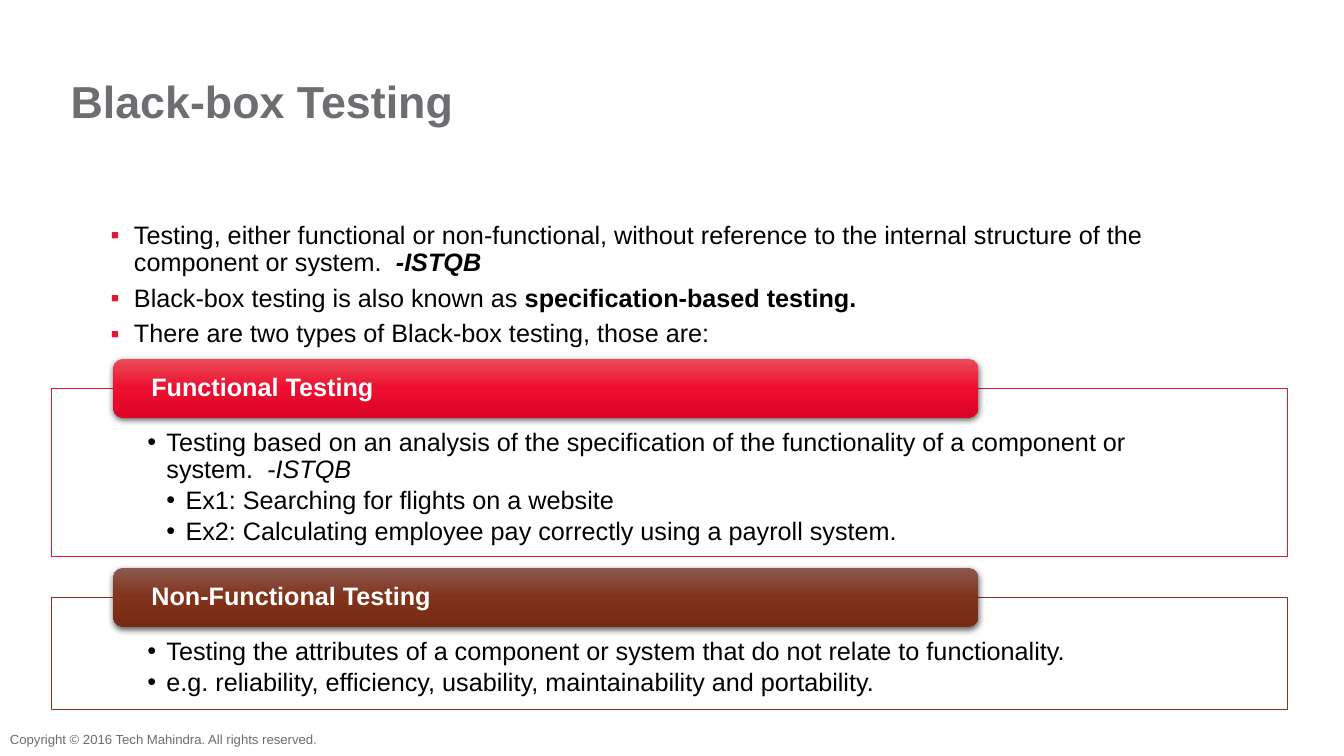
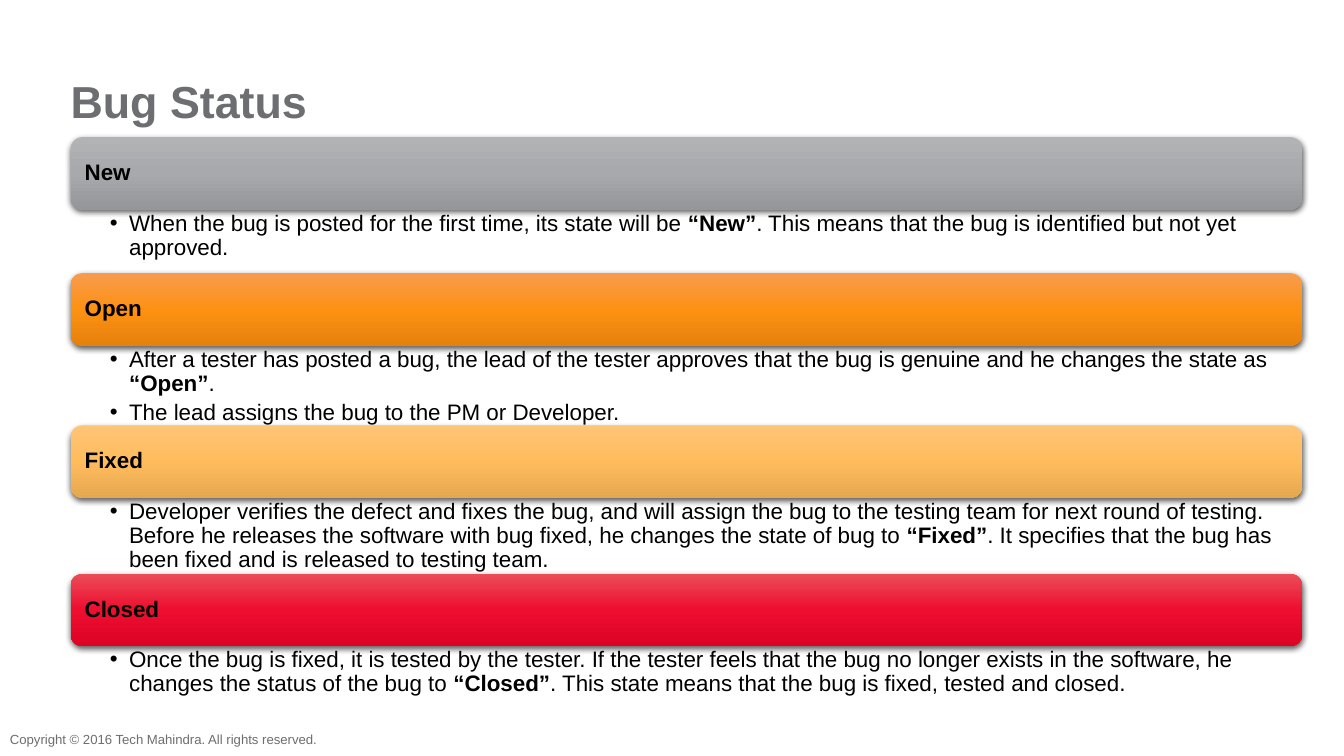
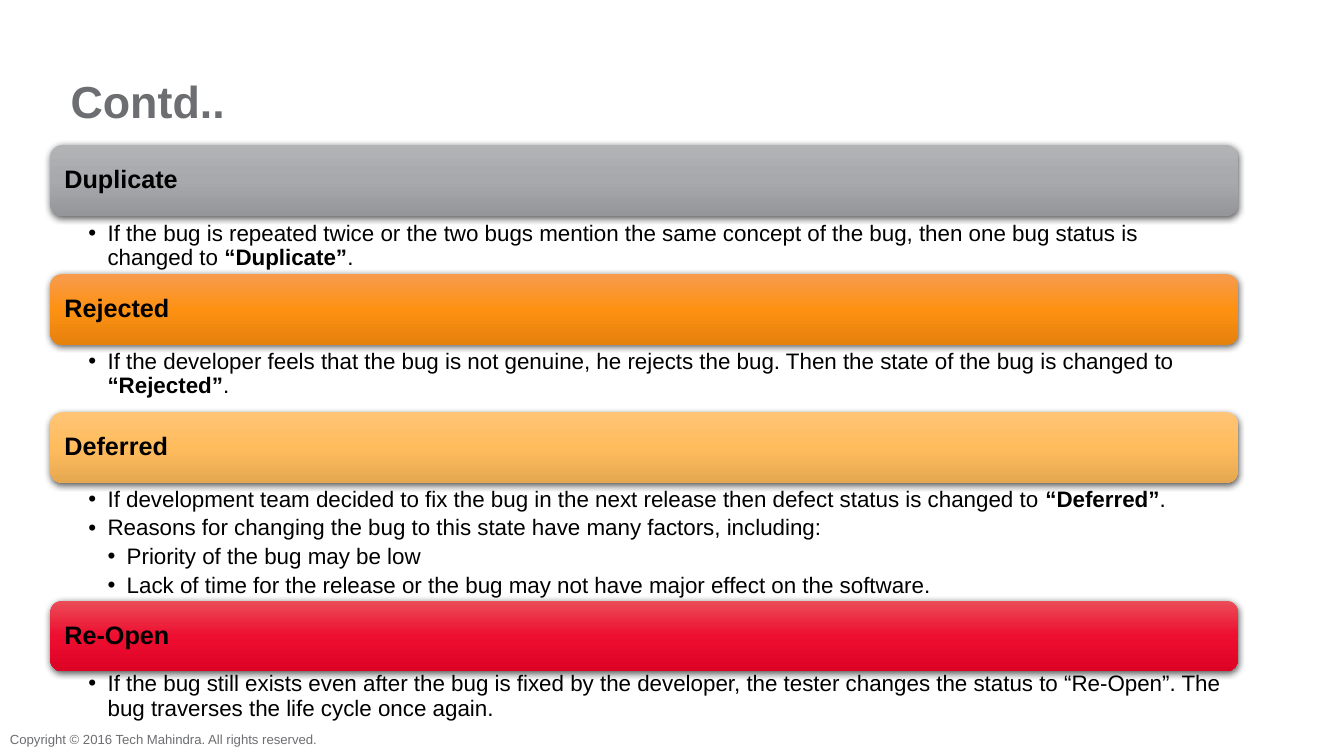
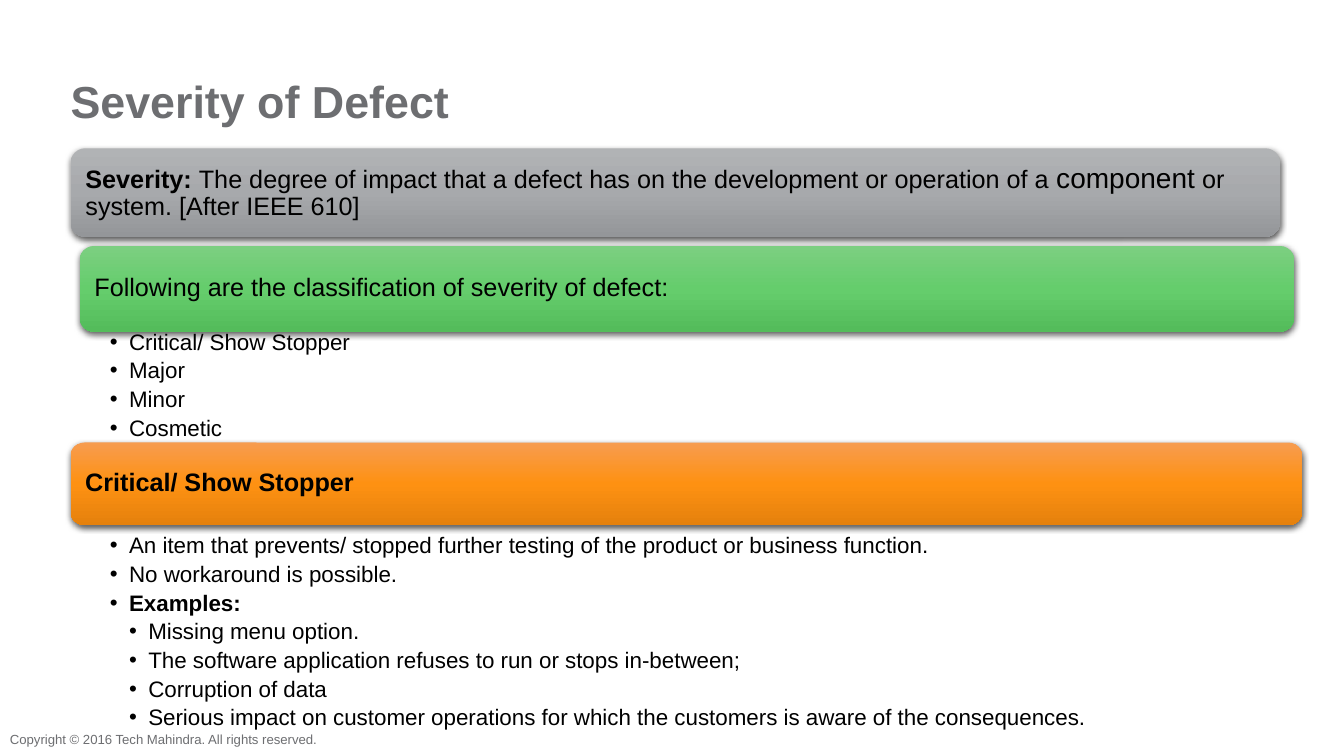
from copy import deepcopy
from dataclasses import dataclass, field
from typing import Any, NamedTuple

from lxml.etree import SubElement as Sub
from pptx import Presentation
from pptx.dml.color import RGBColor as Rgb
from pptx.enum.shapes import MSO_SHAPE as Kind
from pptx.enum.text import MSO_ANCHOR as Anchor, PP_ALIGN as Align
from pptx.oxml.ns import qn
from pptx.util import Pt


class Box(NamedTuple):
    left: float
    top: float
    width: float
    height: float


class Run(NamedTuple):
    text: str
    bold: bool = False
    slant: bool = False
    size: float = 0


class Item(NamedTuple):
    runs: tuple[Run, ...]
    level: int = 1


class Style(NamedTuple):
    size: float
    color: str
    after: float = 0
    mark: str = ""
    tint: str = ""
    left: float = 13.68
    hang: float = 13.68


class Pad(NamedTuple):
    left: float = 7.2
    top: float = 3.6
    right: float = 7.2
    bottom: float = 3.6


class Sect(NamedTuple):
    bar: Box
    tint: tuple[str, str, str]
    head: tuple[Run, ...]
    size: float
    area: Box | None = None
    items: tuple[Item, ...] = ()


class Row(NamedTuple):
    top: float
    drop: float
    deep: float
    name: str
    items: tuple[Item, ...]


@dataclass(frozen=True)
class Theme:
    font: str = "Arial"
    ink: str = "000000"
    paper: str = "FFFFFF"
    muted: str = "6D6E71"
    accent: str = "E31837"
    earth: str = "7C3520"
    gray: tuple[str, str, str] = ("B1B3B5", "A7A9AC", "949699")
    orange: tuple[str, str, str] = ("F79C4F", "FE9112", "E5810D")
    amber: tuple[str, str, str] = ("FFC476", "FFBC5D", "E5A850")
    red: tuple[str, str, str] = ("EB4D58", "ED0E30", "DC0324")
    green: tuple[str, str, str] = ("7CCF81", "65CD6C", "54BC5B")
    brown: tuple[str, str, str] = ("8C584F", "81331B", "762B14")
    title: float = 32
    large: float = 18
    body: float = 16
    foot: float = 9.4
    page: Box = field(default=Box(0, 0, 960, 540))


T = Theme()
CYCLE = (T.gray, T.orange, T.amber, T.red)


def place(box: Box) -> list:
    return [Pt(n) for n in box]


def apply(target: Any, values: dict[str, Any]) -> None:
    for name, value in values.items():
        setattr(target, name, value)


def line(*parts: str | Run, level: int = 1) -> Item:
    return Item(tuple(p if isinstance(p, Run) else Run(p) for p in parts), level)


def bold(text: str) -> Run:
    return Run(text, bold=True)


def add_mark(para: Any, style: Style, level: int) -> None:
    props = para._p.get_or_add_pPr()
    props.set("marL", str(Pt(style.left * level)))
    props.set("indent", str(-Pt(style.hang)))
    if style.tint:
        Sub(Sub(props, qn("a:buClr")), qn("a:srgbClr"), val=style.tint)
    Sub(props, qn("a:buFont"), typeface=T.font)
    Sub(props, qn("a:buChar"), char=style.mark)


def write(shape: Any, items: tuple[Item, ...], style: Style, pad: Pad,
          anchor: Any = Anchor.TOP) -> None:
    frame = shape.text_frame
    apply(frame, {"word_wrap": True, "vertical_anchor": anchor}
          | {f"margin_{side}": Pt(n) for side, n in pad._asdict().items()})
    for spot, item in enumerate(items):
        para = frame.add_paragraph() if spot else frame.paragraphs[0]
        if style.mark:
            add_mark(para, style, item.level)
        apply(para, {"alignment": Align.LEFT, "line_spacing": 0.9,
                     "space_before": Pt(0), "space_after": Pt(style.after)})
        for part in item.runs:
            run = para.add_run()
            run.text = part.text
            apply(run.font, {"name": T.font, "size": Pt(part.size or style.size),
                             "bold": part.bold, "italic": part.slant})
            run.font.color.rgb = Rgb.from_string(style.color)


def add_text(slide: Any, box: Box, items: tuple[Item, ...], style: Style,
             pad: Pad = Pad(), anchor: Any = Anchor.TOP) -> None:
    write(slide.shapes.add_textbox(*place(box)), items, style, pad, anchor)


def add_shade(shape: Any) -> None:
    effects = Sub(shape._element.spPr, qn("a:effectLst"))
    shade = Sub(effects, qn("a:outerShdw"), blurRad=str(Pt(4.5)),
                dist=str(Pt(1.5)), dir="5400000", rotWithShape="0")
    black = Sub(shade, qn("a:srgbClr"), val=T.ink)
    Sub(black, qn("a:alpha"), val="63000")


def add_bar(slide: Any, box: Box, tint: tuple[str, str, str],
            head: tuple[Run, ...], style: Style, side: float = 7.56) -> None:
    bar = slide.shapes.add_shape(Kind.ROUNDED_RECTANGLE, *place(box))
    bar.line.fill.background()
    bar.fill.gradient()
    bar.fill.gradient_angle = 270
    stops = bar._element.spPr.find(".//" + qn("a:gsLst"))
    stops.append(deepcopy(stops[0]))
    for spot, (stop, color) in enumerate(zip(bar.fill.gradient_stops, tint)):
        stop.color.rgb = Rgb.from_string(color)
        stop.position = spot / 2
    add_shade(bar)
    write(bar, (Item(head),), style, Pad(side, 0, side, 0), Anchor.MIDDLE)


def add_sect(slide: Any, sect: Sect) -> None:
    add_bar(slide, sect.bar, sect.tint, sect.head, Style(sect.size, T.ink))
    if sect.area:
        pad = Pad(sect.area.width * 0.032, 1.6, 8.5, 1.6)
        add_text(slide, sect.area, sect.items,
                 Style(T.body, T.ink, after=3.2, mark="•"), pad)


def add_panel(slide: Any, box: Box, edge: str, tint: tuple[str, str, str],
              name: str, items: tuple[Item, ...]) -> None:
    panel = slide.shapes.add_shape(Kind.RECTANGLE, *place(box))
    panel.shadow.inherit = False
    panel.fill.solid()
    panel.fill.fore_color.rgb = Rgb.from_string(T.paper)
    panel.line.color.rgb = Rgb.from_string(edge)
    panel.line.width = Pt(0.5)
    write(panel, items, Style(T.large, T.ink, after=2.7, mark="•"),
          Pad(68.5, 29.5, 68.5, 10))
    add_bar(slide, Box(80.9, box.top - 21.2, 617.8, 42), tint, (bold(name),),
            Style(T.large, T.paper), 25.2)


def add_page(deck: Any, name: str) -> Any:
    slide = deck.slides.add_slide(deck.slide_layouts[5])
    title = slide.shapes.title
    apply(title, dict(zip(Box._fields, place(Box(50.4, 56.9, 863.3, 38.9)))))
    write(title, (line(bold(name)),), Style(T.title, T.muted), Pad(0, 0, 0, 0))
    return slide


def add_foot(slide: Any) -> None:
    add_text(slide, Box(0, 520.6, 240, 16.6),
             (line("Copyright © 2016 Tech Mahindra. All rights reserved."),),
             Style(T.foot, T.muted), anchor=Anchor.MIDDLE)


def stack(left: float, width: float, high: float, size: float,
          rows: tuple[Row, ...]) -> list[Sect]:
    return [Sect(Box(left, row.top, width, high), tint, (bold(row.name),), size,
                 Box(left, row.top + row.drop, width, row.deep), row.items)
            for row, tint in zip(rows, CYCLE)]


INTRO = (
    line("Testing, either functional or non-functional, without reference to the "
         "internal structure of the component or system.  ",
         Run("-ISTQB", bold=True, slant=True)),
    line("Black-box testing is also known as ", bold("specification-based testing.")),
    line("There are two types of Black-box testing, those are:"),
)

PANELS = (
    (Box(36.7, 277.5, 882.7, 120.2), T.accent, T.red, "Functional Testing", (
        line("Testing based on an analysis of the specification of the "
             "functionality of a component or system.  ", Run("-ISTQB", slant=True)),
        line("Ex1: Searching for flights on a website", level=2),
        line("Ex2: Calculating employee pay correctly using a payroll system.", level=2),
    )),
    (Box(36.7, 426.8, 882.7, 80), T.earth, T.brown, "Non-Functional Testing", (
        line("Testing the attributes of a component or system that do not relate to "
             "functionality."),
        line("e.g. reliability, efficiency, usability, maintainability and portability."),
    )),
)

STATUS = stack(50.4, 879.8, 51.8, T.body, (
    Row(97.9, 51.8, 45.4, "New", (
        line("When the bug is posted for the first time, its state will be ",
             bold("“New”"),
             ". This means that the bug is identified but not yet approved."),
    )),
    Row(195.1, 51.8, 56.9, "Open", (
        line("After a tester has posted a bug, the lead of the tester approves that "
             "the bug is genuine and he changes the state as ", bold("“Open”"), "."),
        line("The lead assigns the bug to the PM or Developer."),
    )),
    Row(303.8, 51.8, 54, "Fixed", (
        line("Developer verifies the defect and fixes the bug, and will assign the "
             "bug to the testing team for next round of testing. Before he releases "
             "the software with bug fixed, he changes the state of bug to ",
             bold("“Fixed”"),
             ". It specifies that the bug has been fixed and is released to testing "
             "team."),
    )),
    Row(409.7, 51.8, 45.4, "Closed", (
        line("Once the bug is fixed, it is tested by the tester. If the tester feels "
             "that the bug no longer exists in the software, he changes the status "
             "of the bug to ", bold("“Closed”"),
             ". This state means that the bug is fixed, tested and closed."),
    )),
))

MORE = stack(36, 848.2, 50.4, T.large, (
    Row(103.7, 53.3, 44.6, "Duplicate", (
        line("If the bug is repeated twice or the two bugs mention the same concept "
             "of the bug, then one bug status is changed to ",
             bold("“Duplicate”"), "."),
    )),
    Row(195.8, 52.6, 44.6, "Rejected", (
        line("If the developer feels that the bug is not genuine, he rejects the "
             "bug. Then the state of the bug is changed to ",
             bold("“Rejected”"), "."),
    )),
    Row(294.5, 52.5, 82, "Deferred", (
        line("If development team decided to fix the bug in the next release then "
             "defect status is changed to ", bold("“Deferred”"), "."),
        line("Reasons for changing the bug to this state have many factors, including:"),
        line("Priority of the bug may be low", level=2),
        line("Lack of time for the release or the bug may not have major effect on "
             "the software.", level=2),
    )),
    Row(429.1, 49.7, 44.6, "Re-Open", (
        line("If the bug still exists even after the bug is fixed by the developer, "
             "the tester changes the status to “Re-Open”. The bug traverses the life "
             "cycle once again."),
    )),
))

RANKS = [
    Sect(Box(50.4, 105.9, 864, 63.3), T.gray, (
        bold("Severity: "),
        Run("The degree of impact that a defect has on the development or operation "
            "of a "),
        Run("component", size=20),
        Run(" or system. [After IEEE 610]"),
    ), T.large),
    Sect(Box(56.9, 175.7, 867.6, 61.2), T.green,
         (Run("Following are the classification of severity of defect:"),), T.large,
         Box(50.4, 234.7, 879.8, 80.6),
         tuple(line(name) for name in
               ("Critical/ Show Stopper", "Major", "Minor", "Cosmetic"))),
    Sect(Box(50.4, 316.1, 879.8, 59), T.orange, (bold("Critical/ Show Stopper"),),
         T.large, Box(50.4, 380.2, 879.8, 141.1), (
             line("An item that prevents/ stopped further testing of the product or "
                  "business function."),
             line("No workaround is possible."),
             line(bold("Examples:")),
             line("Missing menu option.", level=2),
             line("The software application refuses to run or stops in-between;",
                  level=2),
             line("Corruption of data", level=2),
             line("Serious impact on customer operations for which the customers is "
                  "aware of the consequences.", level=2),
         )),
]


def main() -> None:
    deck = Presentation()
    apply(deck, {"slide_width": Pt(T.page.width), "slide_height": Pt(T.page.height)})

    slide = add_page(deck, "Black-box Testing")
    add_text(slide, Box(50.4, 155.5, 855, 95), INTRO,
             Style(T.large, T.ink, after=6, mark="▪", tint=T.accent,
                   left=38.2, hang=16.6))
    for panel in PANELS:
        add_panel(slide, *panel)
    add_foot(slide)

    for name, sects in (("Bug Status", STATUS), ("Contd..", MORE),
                        ("Severity of Defect", RANKS)):
        slide = add_page(deck, name)
        for sect in sects:
            add_sect(slide, sect)
        add_foot(slide)

    deck.save("out.pptx")


if __name__ == "__main__":
    main()
